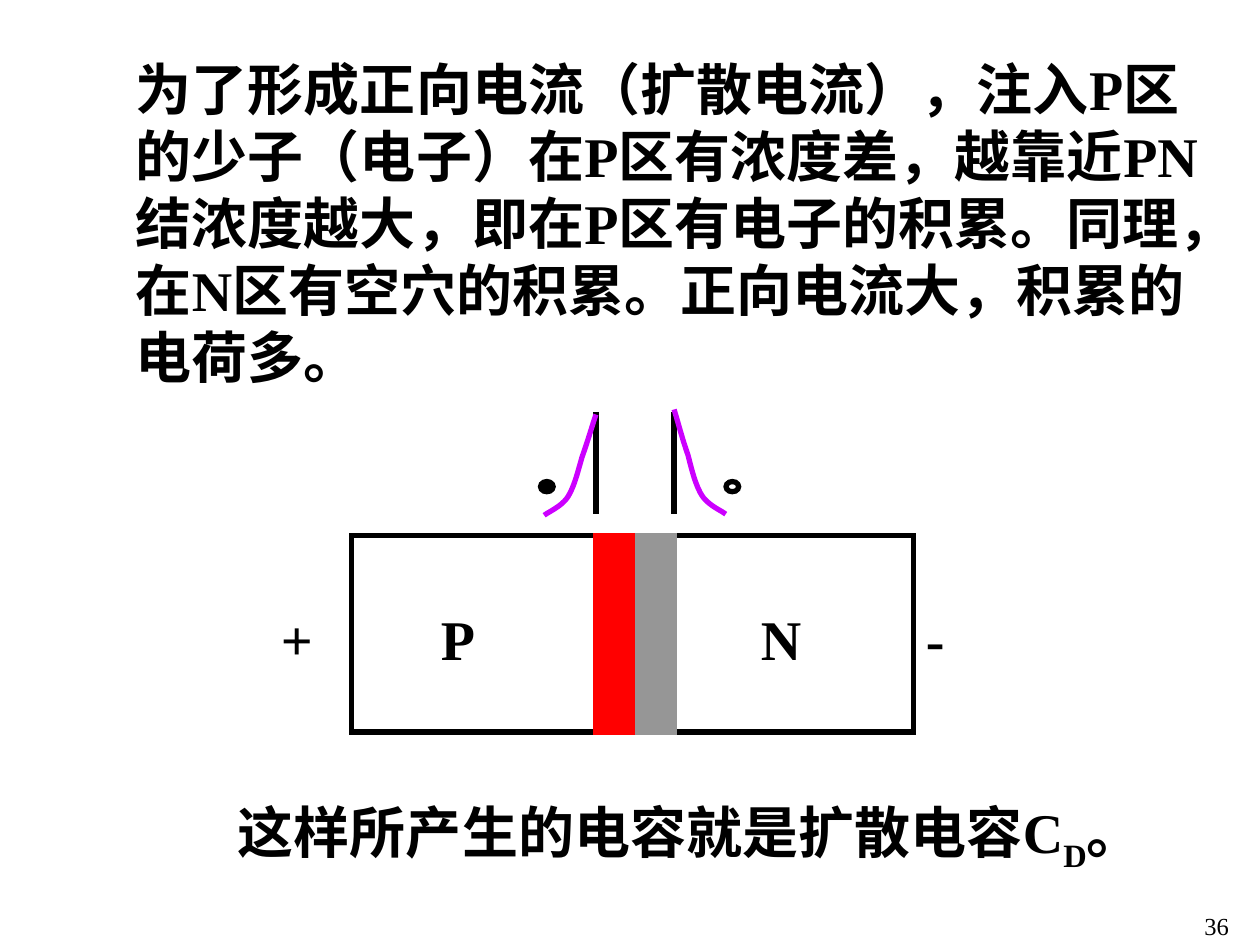
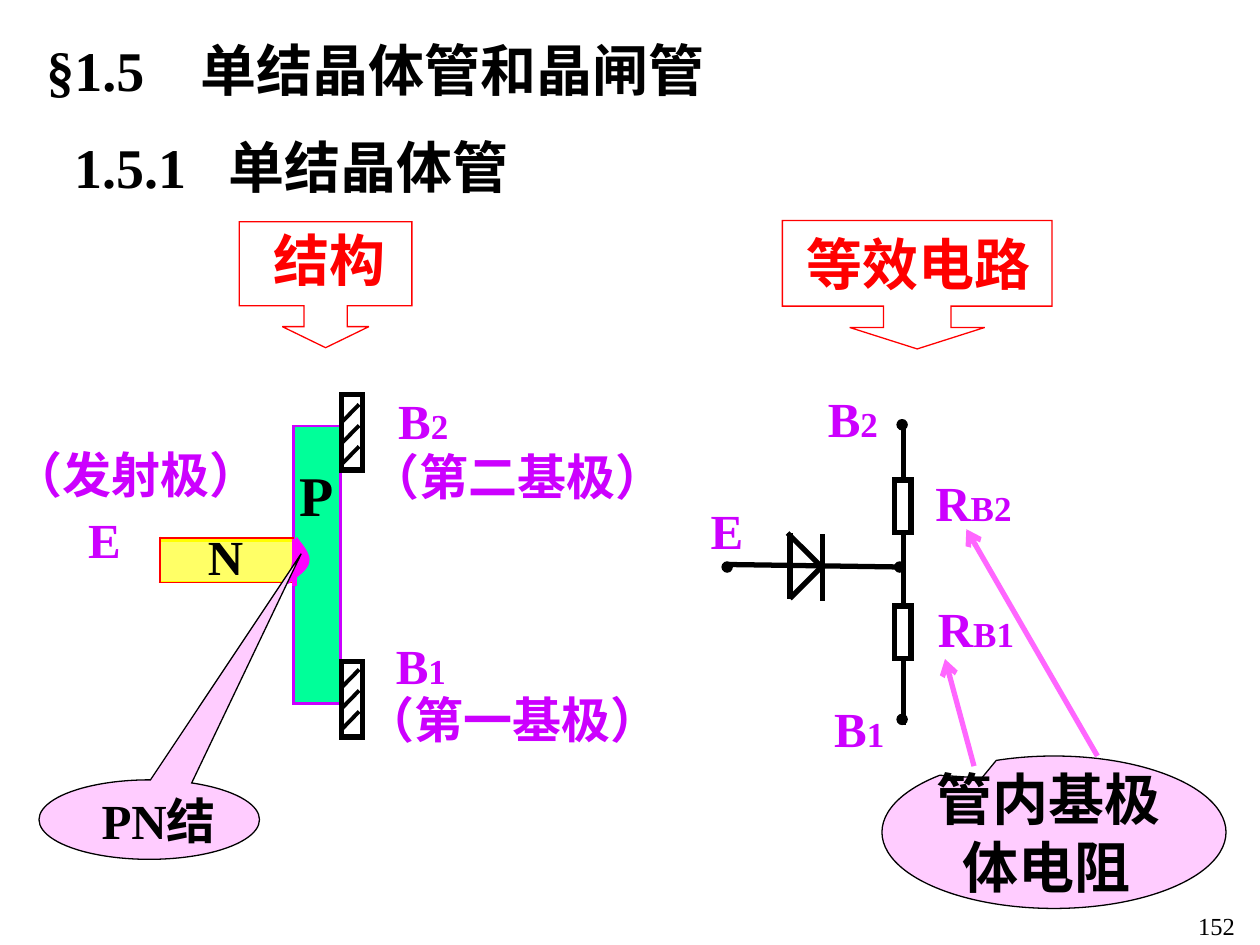
from dataclasses import dataclass
from typing import NamedTuple, Optional, Union

from lxml.etree import SubElement
from pptx import Presentation
from pptx.dml.color import RGBColor
from pptx.enum.shapes import MSO_CONNECTOR, MSO_SHAPE
from pptx.enum.text import MSO_ANCHOR, PP_ALIGN
from pptx.oxml.ns import qn
from pptx.util import Pt


@dataclass(frozen=True)
class Theme:
    font: str = "Times New Roman"
    black: str = "000000"
    white: str = "FFFFFF"
    red: str = "FF0000"
    gray: str = "969696"
    violet: str = "CC00FF"
    magenta: str = "FF00FF"
    pink: str = "FF66FF"
    pale_pink: str = "FFCCFF"
    green: str = "00FF99"
    yellow: str = "FFFF66"
    bright_yellow: str = "FFFF00"
    body: float = 32
    label: float = 28
    index: float = 20
    page_number: float = 14
    thin: float = 0.75
    medium: float = 1.5
    hatch: float = 2.25
    thick: float = 3


T = Theme()
TITLE_TAB = 88
Point = tuple[float, float]


class Run(NamedTuple):
    text: str
    size: Optional[float] = None
    baseline: int = 0


@dataclass(frozen=True)
class Label:
    """Text box; each paragraph is a tuple of runs."""
    x: float
    y: float
    w: float
    h: float
    paragraphs: tuple[tuple[Run, ...], ...]
    size: float = T.body
    color: str = T.black
    bold: bool = True
    align: PP_ALIGN = PP_ALIGN.LEFT
    anchor: MSO_ANCHOR = MSO_ANCHOR.MIDDLE
    wrap: bool = True
    tab: float = 0
    later_indent: float = 0


@dataclass(frozen=True)
class Box:
    x: float
    y: float
    w: float
    h: float
    fill: Optional[str] = None
    line: str = T.black
    weight: float = T.thick
    kind: MSO_SHAPE = MSO_SHAPE.RECTANGLE
    adjustments: tuple[float, ...] = ()


@dataclass(frozen=True)
class Line:
    start: Point
    end: Point
    color: str = T.black
    weight: float = T.thick
    arrow: bool = False


@dataclass(frozen=True)
class Curve:
    """Chain of cubic Bezier segments, three points after the start for each."""
    points: tuple[Point, ...]
    color: str
    weight: float = T.thick
    fill: Optional[str] = None
    rotation: float = 0


Item = Union[Label, Box, Line, Curve]


def set_format(target, values: dict) -> None:
    for name, value in values.items():
        setattr(target, name, value)


def set_paint(sp, fill: Optional[str], line: str, weight: float) -> None:
    sp.shadow.inherit = False
    if fill:
        sp.fill.solid()
        sp.fill.fore_color.rgb = RGBColor.from_string(fill)
    else:
        sp.fill.background()
    sp.line.color.rgb = RGBColor.from_string(line)
    sp.line.width = Pt(weight)


def draw_label(s, label: Label) -> None:
    tf = s.shapes.add_textbox(*map(Pt, (label.x, label.y, label.w, label.h))).text_frame
    set_format(tf, {"word_wrap": label.wrap, "vertical_anchor": label.anchor})
    for i, runs in enumerate(label.paragraphs):
        p = tf.add_paragraph() if i else tf.paragraphs[0]
        p.alignment = label.align
        pPr = p._p.get_or_add_pPr()
        if i and label.later_indent:
            pPr.set("marL", str(Pt(label.later_indent)))
        if label.tab:
            tabs = SubElement(pPr, qn("a:tabLst"))
            SubElement(tabs, qn("a:tab"), pos=str(Pt(label.tab)), algn="l")
        for run in runs:
            r = p.add_run()
            r.text = run.text
            set_format(r.font, {"name": T.font, "size": Pt(run.size or label.size),
                                "bold": label.bold})
            r.font.color.rgb = RGBColor.from_string(label.color)
            if run.baseline:
                r.font._element.set("baseline", str(run.baseline * 1000))


def draw_box(s, box: Box) -> None:
    sp = s.shapes.add_shape(box.kind, *map(Pt, (box.x, box.y, box.w, box.h)))
    for i, value in enumerate(box.adjustments):
        sp.adjustments[i] = value
    set_paint(sp, box.fill, box.line, box.weight)
    SubElement(sp.line._get_or_add_ln(), qn("a:miter"), lim="800000")


def draw_line(s, line: Line) -> None:
    c = s.shapes.add_connector(MSO_CONNECTOR.STRAIGHT, *map(Pt, line.start + line.end))
    c.line.color.rgb = RGBColor.from_string(line.color)
    c.line.width = Pt(line.weight)
    if line.arrow:
        SubElement(c.line._get_or_add_ln(), qn("a:tailEnd"), type="arrow")
    SubElement(c._element.spPr, qn("a:effectLst"))


def bezier_points(points: tuple[Point, ...], steps: int = 12) -> list[Point]:
    result = [points[0]]
    for i in range(0, len(points) - 1, 3):
        for step in range(1, steps + 1):
            t = step / steps
            weights = ((1 - t) ** 3, 3 * t * (1 - t) ** 2, 3 * t * t * (1 - t), t ** 3)
            segment = points[i:i + 4]
            result.append(tuple(sum(w * q[axis] for w, q in zip(weights, segment))
                                for axis in (0, 1)))
    return result


def draw_curve(s, curve: Curve) -> None:
    vertices = [(Pt(x), Pt(y)) for x, y in bezier_points(curve.points)]
    builder = s.shapes.build_freeform(*vertices[0])
    builder.add_line_segments(vertices[1:], close=False)
    sp = builder.convert_to_shape()
    sp.rotation = curve.rotation
    set_paint(sp, curve.fill, curve.color, curve.weight)


DRAWERS = {Label: draw_label, Box: draw_box, Line: draw_line, Curve: draw_curve}


def add_slide(prs, items: list[Item], number: str) -> None:
    s = prs.slides.add_slide(prs.slide_layouts[6])
    page = Label(625.7, 517, 139, 23.8, ((Run(number),),), T.page_number,
                 bold=False, align=PP_ALIGN.CENTER)
    for item in items + [page]:
        DRAWERS[type(item)](s, item)


def text(x: float, y: float, w: float, h: float, *runs: Run) -> Label:
    return Label(x, y, w, h, (runs,), anchor=MSO_ANCHOR.TOP)


def tag(x: float, y: float, w: float, name: str, index: str = "",
        color: str = T.violet, size: float = T.label) -> Label:
    """Centred one-line label with an optional smaller index."""
    runs = (Run(name), Run(index, T.index)) if index else (Run(name),)
    return Label(x, y, w, 46 if size == T.body else 41, (runs,), size, color,
                 align=PP_ALIGN.CENTER, wrap=False)


def heading(x: float, y: float, w: float, h: float, number: str, title: str) -> Label:
    return Label(x, y, w, h, ((Run(f"{number}\t{title}"),),), tab=TITLE_TAB)


def header(x: float, y: float, w: float, h: float, shaft: float) -> Box:
    return Box(x, y, w, h, T.white, T.red, T.thin, MSO_SHAPE.DOWN_ARROW_CALLOUT,
               (shaft, shaft, 0.167, 0.667))


def balloon(x: float, y: float, w: float, h: float, tip: Point) -> Box:
    return Box(x, y, w, h, T.pale_pink, T.black, T.thin, MSO_SHAPE.OVAL_CALLOUT, tip)


def base_contact(y: float, first_hatch: float) -> list[Item]:
    hatches = [Line((205.2, top), (195.1, top + 10.4), weight=T.hatch)
               for top in (y + first_hatch + 12 * i for i in range(3))]
    return [Box(195.1, y, 12.3, 43.2, T.white), *hatches]


def diffusion_items() -> list[Item]:
    block_y, block_h, half_w, bar_w = 306, 112.3, 160.6, 20.9
    letters = [("P", 244.8, 67.7), ("+", 153.4, 34), ("-", 522, 66.2), ("N", 427.7, 102.2)]
    return [
        text(70.6, 27.4, 631.4, 199.4, Run(
            "为了形成正向电流（扩散电流），注入P区的少子（电子）在P区有浓度差，"
            "越靠近PN结浓度越大，即在P区有电子的积累。同理，在N区有空穴的积累。"
            "正向电流大，积累的电荷多。")),
        *[Box(x, block_y, half_w, block_h) for x in (200.9, 361.5)],
        Box(340.6, block_y, bar_w, block_h, T.red, T.red),
        Box(364.3, block_y, bar_w, block_h, T.gray, T.gray),
        *[text(x, 342, w, 46, Run(letter)) for letter, x, w in letters],
        *[Line((x, 235.4), (x, 293.8)) for x in (340.6, 385.2)],
        Curve(((340.6, 236.9), (339.1, 241.2), (335.5, 253.4), (332.6, 261.4),
               (330.5, 268.6), (328.3, 277.9), (324.7, 283.7),
               (321.1, 289.4), (313.9, 292.3), (311, 294.5)), T.violet),
        Curve(((385.2, 234), (386.6, 238.3), (390.2, 252), (393.1, 259.9),
               (395.3, 268.6), (397.4, 277.2), (401, 283),
               (404.6, 288.7), (411.8, 291.6), (414.7, 293.8)), T.violet),
        *[Box(x, 275.2, 7.2, 5.8, fill, kind=MSO_SHAPE.OVAL)
          for x, fill in ((308.9, T.black), (414.9, None))],
        text(128.9, 452.2, 591, 51, Run("这样所产生的电容就是扩散电容C"),
             Run("D", baseline=-25), Run("。")),
    ]


def structure_items() -> list[Item]:
    return [
        header(136.8, 126.7, 98.6, 72, 0.344),
        tag(149, 125.3, 78.5, "结构", color=T.red, size=T.body),
        tag(43.2, 287.3, 33.1, "E"),
        tag(0.7, 250.6, 154, "（发射极）"),
        tag(220.3, 219.6, 43.2, "B", "2"),
        tag(204.5, 251.3, 182.2, "（第二基极）"),
        tag(218.9, 359.3, 43.2, "B", "1"),
        tag(201.6, 390.2, 182.2, "（第一基极）"),
        Box(167.8, 243.4, 26.8, 158.8, T.green, T.violet, T.medium),
        Box(91.4, 308.9, 76.3, 23.8, T.yellow, T.bright_yellow, T.medium),
        Line((90.7, 333), (167, 333), T.red, T.thin),
        Line((91.4, 306.7), (91.4, 333), T.red, T.thin),
        Curve(((166.3, 334.1), (171.4, 329), (176.4, 324.7), (176.4, 320.4),
               (177.1, 315.4), (169.2, 309.6), (167.8, 307.4)),
              T.magenta, T.thin, T.magenta, 7.2),
        *base_contact(225.4, 5.7),
        *base_contact(378, 4.6),
        tag(111.6, 297.4, 34.6, "N", color=T.black),
        tag(159.8, 259.2, 41.8, "P", color=T.black, size=T.body),
        Line((168.5, 308.2), (168.5, 334.8), T.magenta),
        Line((167.8, 307.4), (91.4, 307.4), T.red, T.thin),
        balloon(22.3, 445.7, 126, 45.4, (0.689, -3.347)),
        tag(47.5, 447.8, 86.4, "PN结", color=T.black),
    ]


def circuit_items() -> list[Item]:
    wire_x, dot = 516.2, 5.8
    diode_left, diode_right = 451.4, 470.2
    dots = [(511.2, 321.1), (412.6, 321.1), (512.6, 408.2), (512.6, 239.8)]
    return [
        header(447.1, 126, 154.1, 73.4, 0.526),
        tag(453.6, 127.4, 142.6, "等效电路", color=T.red, size=T.body),
        tag(398.9, 282.2, 33.1, "E"),
        *[Box(511.2, y, 9.4, 30.2, T.white) for y in (274.3, 346.3)],
        *[Line((wire_x, top), (wire_x, bottom))
          for top, bottom in ((304.6, 344.9), (242.6, 274.3), (376.6, 414))],
        Line((514.8, 324), (416.9, 322.6)),
        Line((diode_left, 304.6), (diode_left, 342)),
        Line((450, 304.6), (470.9, 325.4)),
        Line((diode_left, 342), (469.4, 324)),
        Line((diode_right, 305.3), (diode_right, 343.4)),
        *[Box(x, y, dot, dot, T.black, T.black, T.thin, MSO_SHAPE.OVAL) for x, y in dots],
        tag(465.8, 218.2, 43.2, "B", "2"),
        tag(469.4, 395.3, 43.2, "B", "1"),
        tag(521.3, 266.4, 70, "R", "B2"),
        tag(522.7, 338.4, 70, "R", "B1"),
        balloon(504, 432, 196.6, 87.1, (-0.21, -0.355)),
        Label(527.8, 433.4, 172.8, 84.2, ((Run("管内基极"),), (Run("体电阻"),)),
              later_indent=15),
        Line((556.6, 437.8), (540, 376.6), T.pink, arrow=True),
        Line((627.1, 432), (552.2, 302.4), T.pink, arrow=True),
    ]


def main() -> None:
    prs = Presentation()
    set_format(prs, {"slide_width": Pt(720), "slide_height": Pt(540)})
    add_slide(prs, diffusion_items(), "36")
    titles = [heading(19.4, -4.3, 612, 87.1, "§1.5", "单结晶体管和晶闸管"),
              heading(35.3, 72, 290, 46, "1.5.1", "单结晶体管")]
    add_slide(prs, titles + structure_items() + circuit_items(), "152")
    prs.save("out.pptx")


if __name__ == "__main__":
    main()
